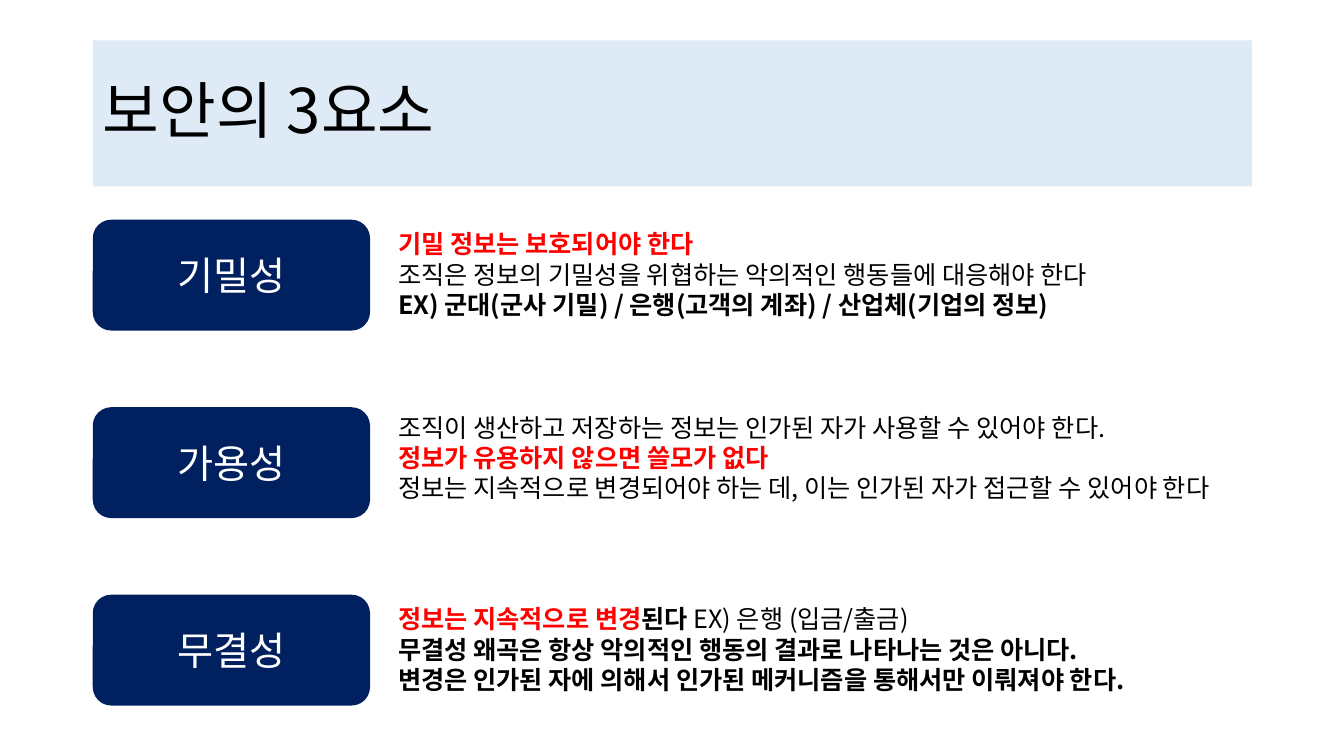
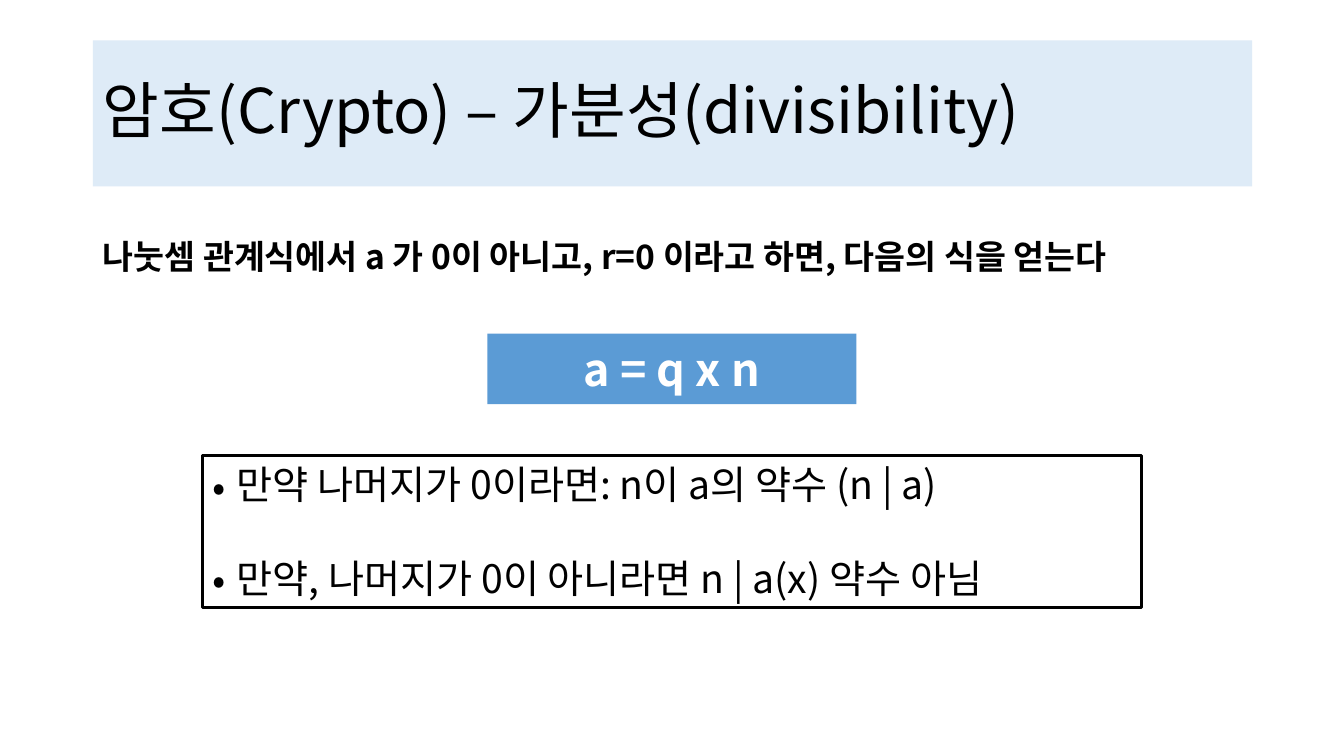
from lxml.etree import SubElement
from pptx import Presentation
from pptx.dml.color import RGBColor
from pptx.enum.shapes import MSO_SHAPE
from pptx.enum.text import MSO_ANCHOR, MSO_AUTO_SIZE, PP_ALIGN
from pptx.oxml.ns import qn
from pptx.util import Inches, Pt

# Shared look
FONT = "Noto Sans CJK KR"
BLACK, WHITE, RED = "000000", "FFFFFF", "FF0000"
BAND, NAVY, BLUE = "DEEBF7", "002060", "5B9BD5"
SLIDE_WIDTH, SLIDE_HEIGHT = 13.33, 7.5
LEFT, CONTENT_WIDTH = 0.92, 11.5
TITLE_BOX = (LEFT, 0.4, CONTENT_WIDTH, 1.45)


def color(hex_string):
    return RGBColor.from_string(hex_string)


def write(shape, paragraphs, size=18, ink=BLACK, bold=False, align=PP_ALIGN.LEFT,
          anchor=MSO_ANCHOR.TOP, grow=False, line_spacing=None, gap=0, bullet_indent=0):
    """Fill a shape with paragraphs, each a list of (text, ink, bold) or a string."""
    frame = shape.text_frame
    frame.word_wrap = True
    frame.vertical_anchor = anchor
    frame.auto_size = MSO_AUTO_SIZE.SHAPE_TO_FIT_TEXT if grow else MSO_AUTO_SIZE.NONE
    for index, runs in enumerate(paragraphs):
        paragraph = frame.add_paragraph() if index else frame.paragraphs[0]
        paragraph.alignment = align
        paragraph.line_spacing = line_spacing
        paragraph.space_before = Pt(gap if index else 0)
        if bullet_indent:
            properties = paragraph._p.get_or_add_pPr()
            properties.set("marL", str(Inches(bullet_indent)))
            properties.set("indent", str(-Inches(bullet_indent)))
            SubElement(properties, qn("a:buFont"), typeface=FONT)
            SubElement(properties, qn("a:buChar"), char="•")
        if isinstance(runs, str):
            runs = [(runs, ink, bold)]
        for text, run_ink, run_bold in runs:
            run = paragraph.add_run()
            run.text = text
            run.font.name = FONT
            run.font.size = Pt(size)
            run.font.bold = run_bold
            run.font.color.rgb = color(run_ink)
            SubElement(run.font._element, qn("a:ea"), typeface=FONT)


presentation = Presentation()
presentation.slide_width = Inches(SLIDE_WIDTH)
presentation.slide_height = Inches(SLIDE_HEIGHT)

# Both slides with their title bands
slides = []
for heading in ("보안의 3요소", "암호(Crypto) – 가분성(divisibility)"):
    slide = presentation.slides.add_slide(presentation.slide_layouts[5])
    title = slide.shapes.title
    title.left, title.top, title.width, title.height = map(Inches, TITLE_BOX)
    title.fill.solid()
    title.fill.fore_color.rgb = color(BAND)
    write(title, [heading], size=44, anchor=MSO_ANCHOR.MIDDLE, line_spacing=0.9)
    slides.append(slide)
elements_slide, divisibility_slide = slides

# Slide 1: one row per element, with label, text offset, text width and lines
elements = [
    ("기밀성", 0.04, 8.5, [
        [("기밀 정보는 보호되어야 한다", RED, True)],
        "조직은 정보의 기밀성을 위협하는 악의적인 행동들에 대응해야 한다",
        [("EX) 군대(군사 기밀) / 은행(고객의 계좌) / 산업체(기업의 정보)", BLACK, True)],
    ]),
    ("가용성", 0, 9.24, [
        "조직이 생산하고 저장하는 정보는 인가된 자가 사용할 수 있어야 한다.",
        [("정보가 유용하지 않으면 쓸모가 없다", RED, True)],
        "정보는 지속적으로 변경되어야 하는 데, 이는 인가된 자가 접근할 수 있어야 한다",
    ]),
    ("무결성", 0.04, 9.34, [
        [("정보는 지속적으로 변경", RED, True), ("된다 ", BLACK, True),
         ("EX) 은행 (입금/출금)", BLACK, False)],
        [("무결성 왜곡은 항상 악의적인 행동의 결과로 나타나는 것은 아니다.", BLACK, True)],
        [("변경은 인가된 자에 의해서 인가된 메커니즘을 통해서만 이뤄져야 한다.", BLACK, True)],
    ]),
]
FIRST_ROW, ROW_STEP = 2.18, 1.86
LABEL_WIDTH, LABEL_HEIGHT = 2.75, 1.1
TEXT_LEFT, TEXT_HEIGHT = 3.85, 1.01
for row, (name, offset, text_width, lines) in enumerate(elements):
    top = FIRST_ROW + row * ROW_STEP
    label = elements_slide.shapes.add_shape(
        MSO_SHAPE.ROUNDED_RECTANGLE, Inches(LEFT), Inches(top),
        Inches(LABEL_WIDTH), Inches(LABEL_HEIGHT))
    label.shadow.inherit = False
    label.fill.solid()
    label.fill.fore_color.rgb = color(NAVY)
    label.line.fill.background()
    write(label, [name], size=28, ink=WHITE, align=PP_ALIGN.CENTER, anchor=MSO_ANCHOR.MIDDLE)
    description = elements_slide.shapes.add_textbox(
        Inches(TEXT_LEFT), Inches(top + offset), Inches(text_width), Inches(TEXT_HEIGHT))
    write(description, lines, grow=True)

# Slide 2: lead sentence
lead = divisibility_slide.shapes.add_textbox(
    Inches(LEFT), Inches(2.29), Inches(11.32), Inches(0.5))
write(lead, ["나눗셈 관계식에서 a 가 0이 아니고, r=0 이라고 하면, 다음의 식을 얻는다"],
      size=24, bold=True, grow=True)

# Slide 2: formula, centred on the slide
FORMULA_WIDTH = 3.66
formula = divisibility_slide.shapes.add_shape(
    MSO_SHAPE.RECTANGLE, Inches((SLIDE_WIDTH - FORMULA_WIDTH) / 2), Inches(3.31),
    Inches(FORMULA_WIDTH), Inches(0.7))
formula.shadow.inherit = False
formula.fill.solid()
formula.fill.fore_color.rgb = color(BLUE)
formula.line.fill.background()
write(formula, ["a = q x n"], size=32, ink=WHITE, bold=True,
      align=PP_ALIGN.CENTER, anchor=MSO_ANCHOR.MIDDLE)

# Slide 2: framed cases
cases = divisibility_slide.shapes.add_textbox(
    Inches(2.01), Inches(4.52), Inches(9.31), Inches(1.51))
cases.line.color.rgb = color(BLACK)
cases.line.width = Pt(2.25)
write(cases, ["만약 나머지가 0이라면: n이 a의 약수 (n | a)",
              "만약, 나머지가 0이 아니라면 n | a(x) 약수 아님"],
      size=28, grow=True, gap=33, bullet_indent=0.24)

presentation.save("out.pptx")
